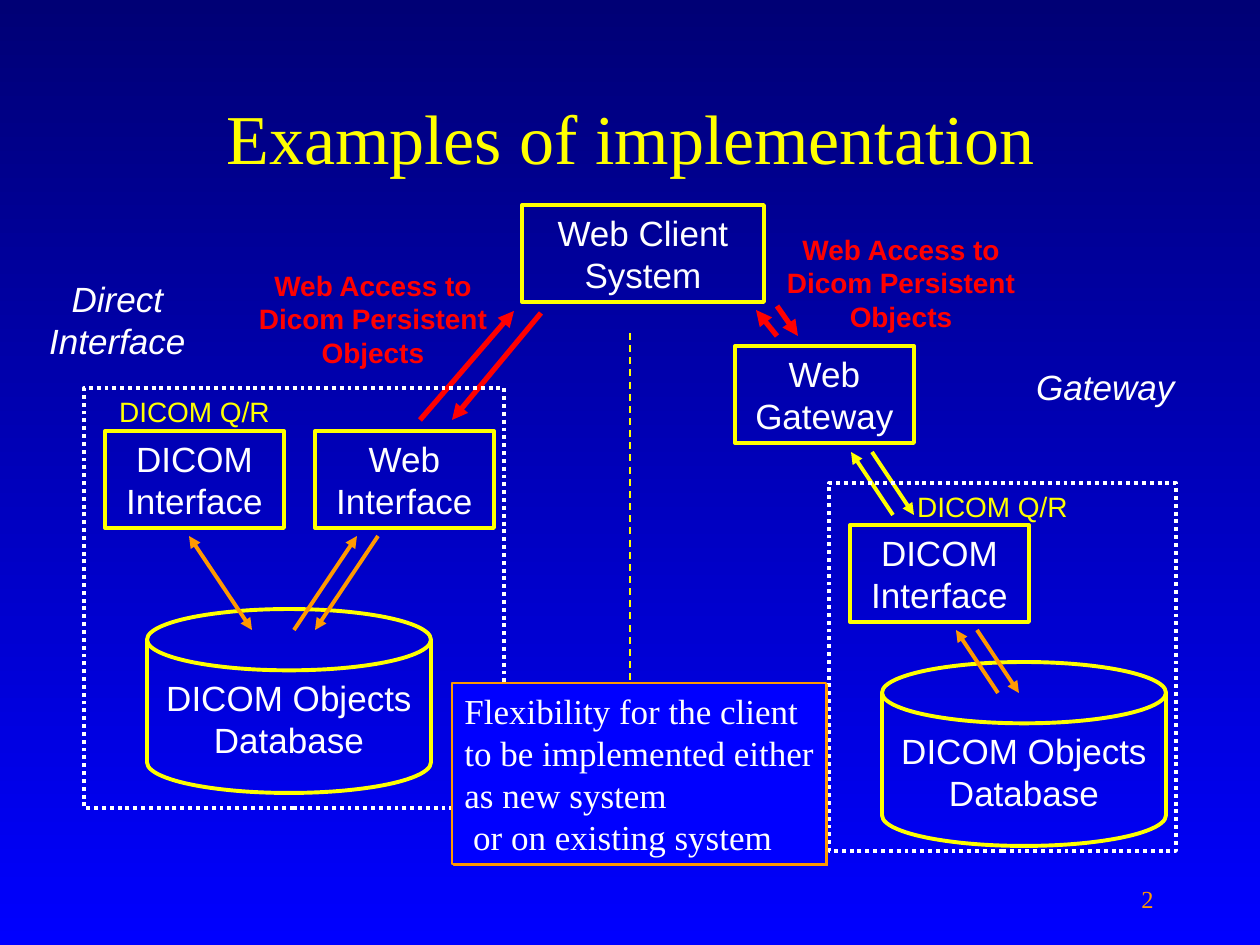
from lxml.etree import SubElement
from pptx import Presentation
from pptx.dml.color import RGBColor
from pptx.enum.dml import MSO_LINE_DASH_STYLE as Dash
from pptx.enum.shapes import MSO_CONNECTOR, MSO_SHAPE as Shape
from pptx.enum.text import MSO_ANCHOR as Anchor, PP_ALIGN as Align
from pptx.oxml.ns import qn
from pptx.util import Emu, Pt

PX = 914400 / 126
COLORS = {
    "navy": "000075", "blue": "0000FF", "yellow": "FFFF00",
    "white": "FFFFFF", "red": "FF0000", "orange": "FF9900",
}


def rgb(name):
    return RGBColor.from_string(COLORS[name])


def write(frame, text, size=20, font="Arial", color="white", bold=False,
          italic=False, align=Align.CENTER, anchor=Anchor.TOP, wrap=True):
    frame.text = text
    frame.word_wrap = wrap
    frame.vertical_anchor = anchor
    for para in frame.paragraphs:
        para.alignment = align
        for span in para.runs:
            span.font.size = Pt(size)
            span.font.name = font
            span.font.bold = bold
            span.font.italic = italic
            span.font.color.rgb = rgb(color)


deck = Presentation()
deck.slide_width = Emu(round(1260 * PX))
deck.slide_height = Emu(round(945 * PX))
page = deck.slides.add_slide(deck.slide_layouts[5])
shapes = page.shapes

background = page.background.fill
background.gradient()
background.gradient_angle = 270
for stop, (position, color) in zip(background.gradient_stops, [(0, "navy"), (1, "blue")]):
    stop.position = position
    stop.color.rgb = rgb(color)

title = shapes.title
title.left, title.top, title.width, title.height = [
    Emu(round(n * PX)) for n in (95, 58, 1071, 157)]
write(title.text_frame, "Examples of implementation", size=40,
      font="Times New Roman", color="yellow", anchor=Anchor.MIDDLE)

DISK, RECT = Shape.FLOWCHART_MAGNETIC_DISK, Shape.RECTANGLE
systems = [
    (DISK, "DICOM Objects Database", 147, 609, 284, 184),
    (DISK, "DICOM Objects Database", 882, 662, 284, 184),
    (RECT, "DICOM Interface", 105, 431, 179, 97),
    (RECT, "Web Interface", 315, 431, 179, 97),
    (RECT, "DICOM Interface", 850, 525, 179, 97),
    (RECT, "Web Gateway", 735, 346, 179, 97),
    (RECT, "Web Client System", 522, 205, 242, 97),
]
for kind, text, *place in systems:
    box = shapes.add_shape(kind, *[Emu(round(n * PX)) for n in place])
    box.shadow.inherit = False
    box.fill.background()
    box.line.color.rgb = rgb("yellow")
    box.line.width = Pt(2.25)
    write(box.text_frame, text)

query = dict(size=16, color="yellow")
access = dict(size=16, color="red", bold=True)
labels = [
    ("DICOM Q/R", query, 105, 388, 179, 47),
    ("DICOM Q/R", query, 903, 483, 179, 47),
    ("Web Access to Dicom Persistent Objects", access, 242, 262, 262, 113),
    ("Web Access to Dicom Persistent Objects", access, 770, 226, 262, 113),
    ("Direct\vInterface", dict(italic=True), 28, 271, 179, 97),
    ("Gateway", dict(italic=True), 1016, 359, 179, 55),
    ("2", dict(size=14, font="Times New Roman", color="orange", align=Align.RIGHT),
     958, 878, 208, 42),
]
for text, style, *place in labels:
    label = shapes.add_textbox(*[Emu(round(n * PX)) for n in place])
    write(label.text_frame, text, **style)

HEAD, TAIL = ["headEnd"], ["tailEnd"]
links = [
    ("orange", 2.25, HEAD + TAIL, 189, 536, 252, 630),
    ("orange", 2.25, HEAD, 357, 536, 294, 630),
    ("orange", 2.25, TAIL, 378, 536, 315, 630),
    ("orange", 2.25, HEAD, 956, 630, 998, 693),
    ("orange", 2.25, TAIL, 977, 630, 1019, 693),
    ("yellow", 2.25, HEAD, 851, 452, 893, 515),
    ("yellow", 2.25, TAIL, 872, 452, 914, 515),
    ("yellow", 1, [], 630, 333, 630, 861),
    ("red", 3, TAIL, 541, 313, 452, 420),
    ("red", 3, HEAD, 514, 311, 420, 420),
    ("red", 3, TAIL, 777, 306, 798, 336),
    ("red", 3, HEAD, 756, 310, 777, 336),
]
for color, width, ends, *points in links:
    link = shapes.add_connector(MSO_CONNECTOR.STRAIGHT,
                                *[Emu(round(n * PX)) for n in points])
    link.line.color.rgb = rgb(color)
    link.line.width = Pt(width)
    if not ends:
        link.line.dash_style = Dash.DASH
    for end in ends:
        SubElement(link.line._get_or_add_ln(), qn("a:" + end), type="triangle")
    SubElement(link._element.spPr, qn("a:effectLst"))

for place in [(84, 388, 420, 420), (829, 483, 347, 368)]:
    border = shapes.add_shape(RECT, *[Emu(round(n * PX)) for n in place])
    border.shadow.inherit = False
    border.fill.background()
    border.line.color.rgb = rgb("white")
    border.line.width = Pt(2.25)
    border.line.dash_style = Dash.ROUND_DOT

note = shapes.add_shape(RECT, *[Emu(round(n * PX)) for n in (452, 683, 374, 181)])
note.fill.solid()
note.fill.fore_color.rgb = rgb("blue")
note.line.color.rgb = rgb("orange")
note.line.width = Pt(1)
effects = SubElement(note._element.spPr, qn("a:effectLst"))
shadow = SubElement(effects, qn("a:outerShdw"), dist=str(Pt(1.4)), dir="2700000")
SubElement(shadow, qn("a:srgbClr"), val=COLORS["orange"])
write(note.text_frame,
      "Flexibility for the client\nto be implemented either\n"
      "as new system\n or on existing system",
      font="Times New Roman", align=Align.LEFT, wrap=False)

deck.save("out.pptx")
